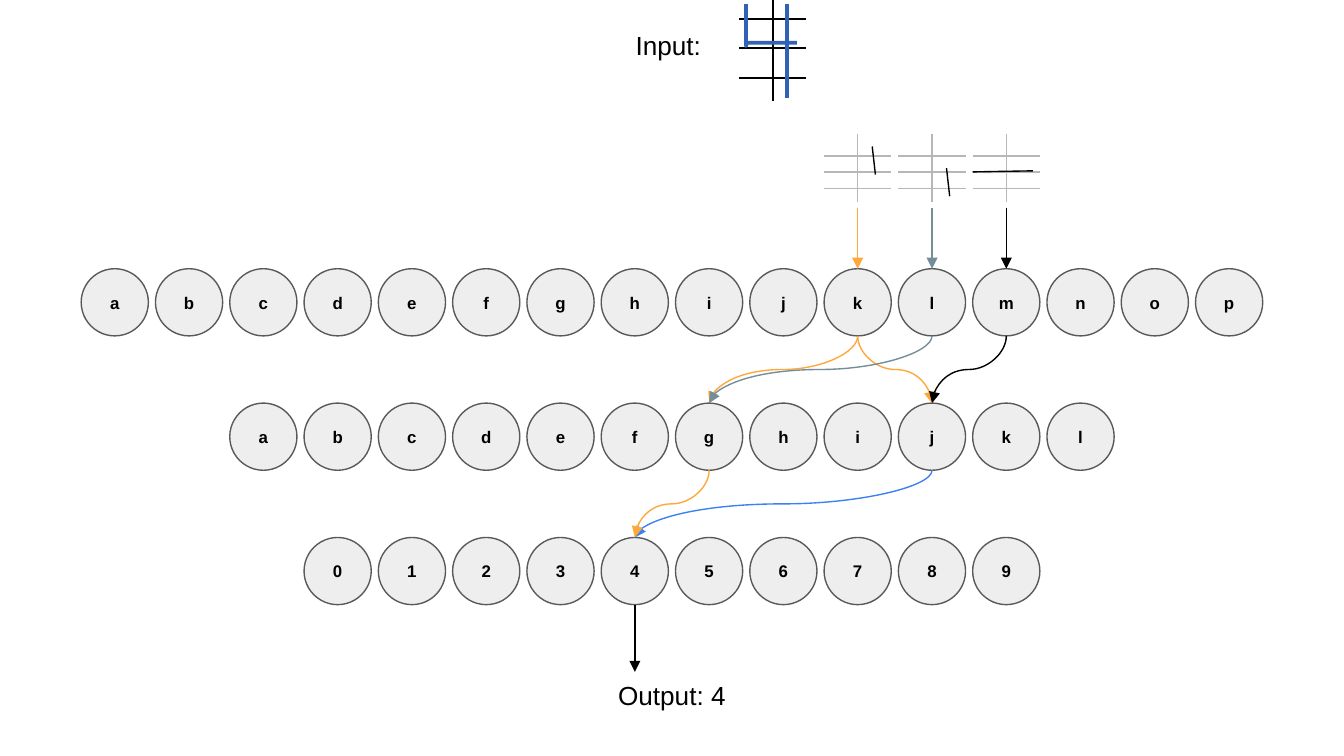
from lxml.etree import SubElement
from pptx import Presentation
from pptx.dml.color import RGBColor
from pptx.enum.shapes import MSO_CONNECTOR, MSO_SHAPE
from pptx.enum.text import MSO_ANCHOR, PP_ALIGN
from pptx.oxml.ns import qn
from pptx.util import Cm, Pt

BLACK = RGBColor(0x00, 0x00, 0x00)
NODE_FILL = RGBColor(0xEE, 0xEE, 0xEE)
NODE_LINE = RGBColor(0x59, 0x59, 0x59)
GRID_GREY = RGBColor(0xB7, 0xB7, 0xB7)
ORANGE = RGBColor(0xFE, 0xA8, 0x3A)
SLATE = RGBColor(0x74, 0x8D, 0x99)
BLUE = RGBColor(0x3C, 0x81, 0xF3)
PEN_BLUE = RGBColor(0x31, 0x62, 0xB5)

# Lengths in centimetres
SLIDE_WIDTH, SLIDE_HEIGHT = 25.4, 14.29
NODE = 1.27
PITCH = 21.06 / 15
ROW_TOPS = (5.08, 7.62, 10.16)
ROW_LABELS = ("abcdefghijklmnop", "abcdefghijkl", "0123456789")


def node_left(row, label):
    """Left edge of a node; every row is centred on the slide."""
    labels = ROW_LABELS[row]
    row_width = (len(labels) - 1) * PITCH + NODE
    return (SLIDE_WIDTH - row_width) / 2 + labels.index(label) * PITCH


def node_centre(row, label):
    return node_left(row, label) + NODE / 2


class Diagram:
    node_font = {"name": "Arial", "size": Pt(9), "bold": True}
    caption_font = {"name": "Arial", "size": Pt(14)}
    frame_format = {
        "word_wrap": True, "vertical_anchor": MSO_ANCHOR.MIDDLE,
        "margin_left": Cm(0.25), "margin_right": Cm(0.25),
        "margin_top": Cm(0.13), "margin_bottom": Cm(0.13),
    }

    def __init__(self, slide):
        self.slide = slide

    def set_text(self, shape, text, font_format):
        frame = shape.text_frame
        for name, value in self.frame_format.items():
            setattr(frame, name, value)
        paragraph = frame.paragraphs[0]
        paragraph.alignment = PP_ALIGN.CENTER
        run = paragraph.add_run()
        run.text = text
        for name, value in font_format.items():
            setattr(run.font, name, value)
        run.font.color.rgb = BLACK

    def node(self, row, label):
        shape = self.slide.shapes.add_shape(
            MSO_SHAPE.OVAL, Cm(node_left(row, label)), Cm(ROW_TOPS[row]),
            Cm(NODE), Cm(NODE))
        shape.shadow.inherit = False
        shape.fill.solid()
        shape.fill.fore_color.rgb = NODE_FILL
        shape.line.color.rgb = NODE_LINE
        shape.line.width = Pt(0.75)
        self.set_text(shape, label, self.node_font)

    def caption(self, text, top, width):
        shape = self.slide.shapes.add_textbox(
            Cm((SLIDE_WIDTH - width) / 2), Cm(top), Cm(width), Cm(0.86))
        self.set_text(shape, text, self.caption_font)

    def line(self, shapes, start, end, color, width=0.75, arrow=False,
             kind=MSO_CONNECTOR.STRAIGHT):
        connector = shapes.add_connector(
            kind, *(Cm(value) for value in (*start, *end)))
        connector.line.color.rgb = color
        connector.line.width = Pt(width)
        properties = connector.element.spPr
        SubElement(properties, qn("a:effectLst"))
        if arrow:
            SubElement(properties.find(qn("a:ln")), qn("a:tailEnd"),
                       type="triangle")
        return connector

    def arrow(self, x, top, bottom, color):
        self.line(self.slide.shapes, (x, top), (x, bottom), color, arrow=True)

    def curve(self, row, source, target, color):
        """Curved arrow from the bottom of a node to the top of one below."""
        start, end = node_centre(row, source), node_centre(row + 1, target)
        top = ROW_TOPS[row] + NODE
        drop, span = ROW_TOPS[row + 1] - top, abs(end - start)
        # The connector is laid out sideways about its centre, then turned
        left = (start + end - drop) / 2
        upper = top + (drop - span) / 2
        connector = self.line(
            self.slide.shapes, (left, upper), (left + drop, upper + span),
            color, arrow=True, kind=MSO_CONNECTOR.CURVE)
        transform = connector.element.spPr.find(qn("a:xfrm"))
        if end < start:
            transform.set("rot", "5400000")
        else:
            transform.set("rot", "16200000")
            transform.set("flipH", "1")

    def stroke(self, shapes, points, color, width=0.75):
        (x, y), *rest = [(Cm(x), Cm(y)) for x, y in points]
        builder = shapes.build_freeform(x, y)
        builder.add_line_segments(rest, close=False)
        shape = builder.convert_to_shape()
        shape.shadow.inherit = False
        shape.fill.background()
        shape.line.color.rgb = color
        shape.line.width = Pt(width)

    def grid(self, left, top, bottom, rows, color, width=0.75):
        """One vertical and several horizontal lines; returns group shapes."""
        shapes = self.slide.shapes.add_group_shape().shapes
        middle = left + NODE / 2
        self.line(shapes, (middle, top), (middle, bottom), color, width)
        for y in rows:
            self.line(shapes, (left, y), (left + NODE, y), color, width)
        return shapes


def main():
    presentation = Presentation()
    presentation.slide_width = Cm(SLIDE_WIDTH)
    presentation.slide_height = Cm(SLIDE_HEIGHT)
    diagram = Diagram(
        presentation.slides.add_slide(presentation.slide_layouts[6]))

    # Three layers of nodes
    for row, labels in enumerate(ROW_LABELS):
        for label in labels:
            diagram.node(row, label)

    # Active connections between layers
    for row, source, target, color in (
            (0, "k", "g", ORANGE), (0, "k", "j", ORANGE),
            (0, "l", "g", SLATE), (0, "m", "j", BLACK),
            (1, "j", "4", BLUE), (1, "g", "4", ORANGE)):
        diagram.curve(row, source, target, color)

    # Captions
    diagram.caption("Input: ", 0.43, 5.38)
    diagram.caption("Output: 4", 12.7, 6.55)

    # Pen features with arrows into the first layer
    features = (
        ("k", ORANGE, [([(0.91, 2.77), (0.97, 3.3)], BLACK)]),
        ("l", SLATE, [([(0.91, 3.18), (0.97, 3.71)], BLACK)]),
        ("m", BLACK, [([(0.2, 3.26), (1.12, 3.25)], GRID_GREY),
                      ([(0, 3.25), (1.14, 3.23)], BLACK)]),
    )
    for label, color, strokes in features:
        left = node_left(0, label)
        shapes = diagram.grid(left, 2.54, 3.81, (2.95, 3.25, 3.56), GRID_GREY)
        for points, pen in strokes:
            diagram.stroke(shapes, [(left + x, y) for x, y in points], pen)
        diagram.arrow(node_centre(0, label), 3.94, ROW_TOPS[0], color)

    # Handwritten input digit on its grid
    shapes = diagram.grid(13.97, 0, 1.91, (0.36, 0.91, 1.47), BLACK, 1)
    diagram.stroke(shapes, [(14.1, 0.08), (14.1, 0.87), (14.12, 0.81),
                            (15.06, 0.81)], PEN_BLUE, 2)
    diagram.line(shapes, (14.88, 0.08), (14.88, 1.85), PEN_BLUE, 2)

    # Arrow to the output
    diagram.arrow(node_centre(2, "4"), ROW_TOPS[2] + NODE, 12.7, BLACK)

    presentation.save("out.pptx")


if __name__ == "__main__":
    main()
